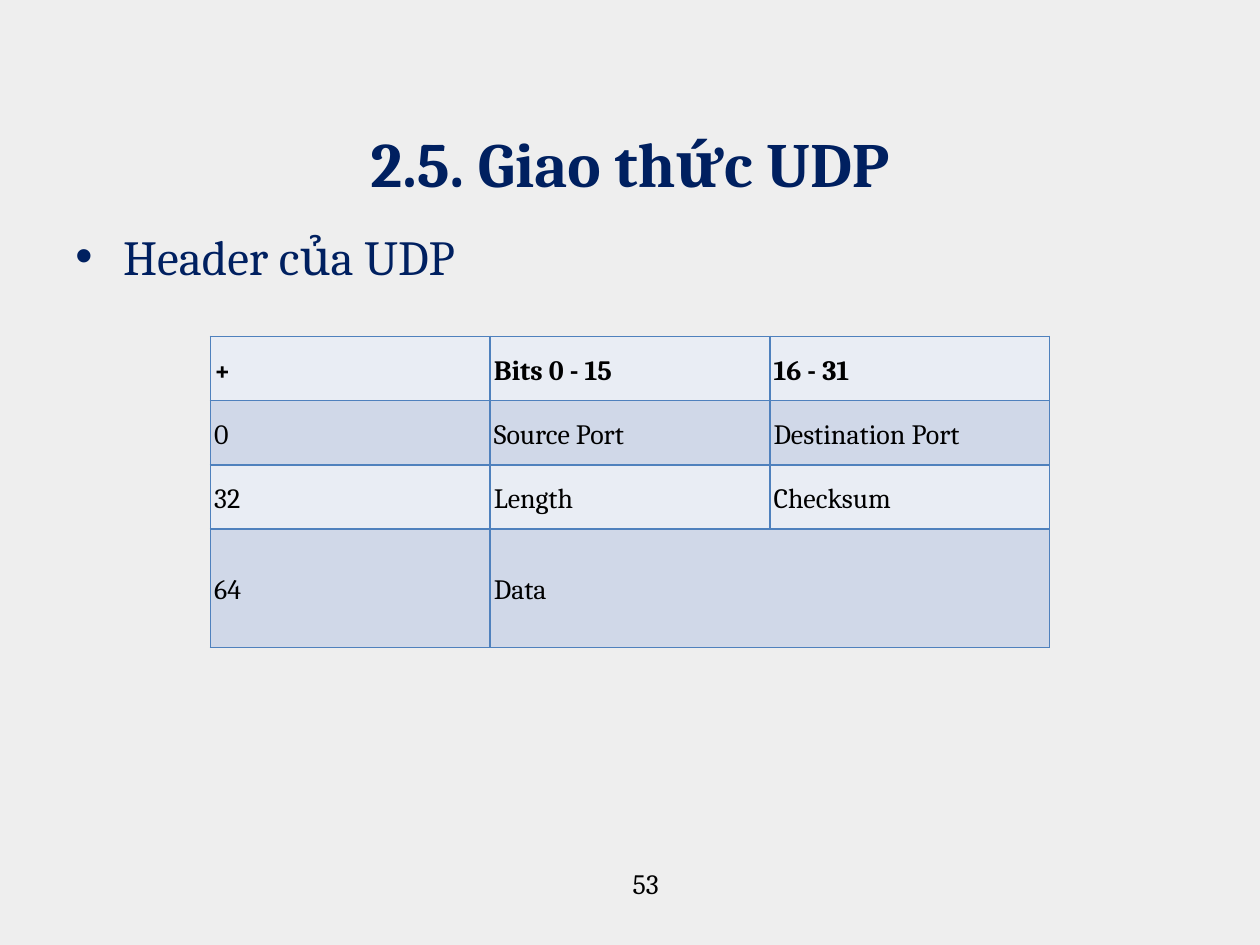
from lxml.etree import SubElement
from pptx import Presentation
from pptx.dml.color import RGBColor
from pptx.enum.text import MSO_ANCHOR as Anchor, PP_ALIGN as Align
from pptx.oxml.ns import qn
from pptx.util import Inches, Pt

FONT = "Cambria"
COLORS = {
    "background": "EEEEEE",
    "heading": "002060",
    "text": "000000",
    "border": "4F81BD",
    "light_row": "E9EDF4",
    "dark_row": "D0D8E8",
}
HEADER_ROWS = [
    ["+", "Bits 0 - 15", "16 - 31"],
    ["0", "Source Port", "Destination Port"],
    ["32", "Length", "Checksum"],
    ["64", "Data", ""],
]
ROW_HEIGHTS = [0.51, 0.51, 0.51, 0.94]
COLUMN_WIDTH = 2.22


def color(name):
    """Return the named colour."""
    return RGBColor.from_string(COLORS[name])


def add_run(paragraph, text, size, color_name, bold=False):
    """Add one formatted run to a paragraph."""
    run = paragraph.add_run()
    run.text = text
    run.font.name = FONT
    run.font.size = Pt(size)
    run.font.bold = bold
    run.font.color.rgb = color(color_name)


def set_title(slide, text):
    """Place and fill the title placeholder."""
    title = slide.shapes.title
    title.left, title.top = Inches(0.5), Inches(0.39)
    title.width, title.height = Inches(9), Inches(1.25)
    title.text_frame.vertical_anchor = Anchor.BOTTOM
    paragraph = title.text_frame.paragraphs[0]
    paragraph.alignment = Align.CENTER
    add_run(paragraph, text, 36, "heading", bold=True)


def add_text_box(slide, left, top, width, height):
    """Add a wrapping text box and return its first paragraph."""
    shape = slide.shapes.add_textbox(
        Inches(left), Inches(top), Inches(width), Inches(height))
    shape.text_frame.word_wrap = True
    return shape.text_frame.paragraphs[0]


def add_bullet(paragraph):
    """Give a paragraph a hanging round bullet."""
    properties = paragraph._p.get_or_add_pPr()
    properties.set("marL", str(Inches(0.38)))
    properties.set("indent", str(-Inches(0.38)))
    SubElement(properties, qn("a:buFont"), typeface="Arial")
    SubElement(properties, qn("a:buChar"), char="•")


def add_borders(cell):
    """Draw a thin line on all four sides of a cell."""
    properties = cell._tc.get_or_add_tcPr()
    for side in ("a:lnL", "a:lnR", "a:lnT", "a:lnB"):
        line = SubElement(properties, qn(side), w=str(Pt(1)))
        fill = SubElement(line, qn("a:solidFill"))
        SubElement(fill, qn("a:srgbClr"), val=COLORS["border"])


def format_cell(cell, text, fill_name, bold):
    """Set the borders, fill, margins and text of a cell."""
    add_borders(cell)
    cell.fill.solid()
    cell.fill.fore_color.rgb = color(fill_name)
    cell.margin_left = cell.margin_right = Inches(0.03)
    cell.margin_top = cell.margin_bottom = Inches(0.03)
    cell.vertical_anchor = Anchor.MIDDLE
    if text:
        paragraph = cell.text_frame.paragraphs[0]
        paragraph.alignment = Align.JUSTIFY
        paragraph.line_spacing = 1.15
        add_run(paragraph, text, 16, "text", bold)


def add_header_table(slide):
    """Add the table of UDP header fields."""
    column_count = len(HEADER_ROWS[0])
    table = slide.shapes.add_table(
        len(HEADER_ROWS), column_count, Inches(1.67), Inches(2.67),
        Inches(COLUMN_WIDTH * column_count), Inches(sum(ROW_HEIGHTS))).table
    for column in table.columns:
        column.width = Inches(COLUMN_WIDTH)
    for row_index, texts in enumerate(HEADER_ROWS):
        table.rows[row_index].height = Inches(ROW_HEIGHTS[row_index])
        fill_name = "dark_row" if row_index % 2 else "light_row"
        for column_index, text in enumerate(texts):
            format_cell(table.cell(row_index, column_index), text,
                        fill_name, bold=row_index == 0)
    table.cell(3, 1).merge(table.cell(3, 2))


def main():
    """Build and save the slide."""
    presentation = Presentation()
    presentation.slide_width = Inches(10)
    presentation.slide_height = Inches(7.5)
    slide = presentation.slides.add_slide(presentation.slide_layouts[5])
    slide.background.fill.solid()
    slide.background.fill.fore_color.rgb = color("background")

    set_title(slide, "2.5. Giao thức UDP")
    bullet = add_text_box(slide, 0.5, 1.75, 8.83, 0.6)
    add_bullet(bullet)
    add_run(bullet, "Header của UDP", 28, "heading")
    number = add_text_box(slide, 0.75, 6.83, 8.75, 0.52)
    number.alignment = Align.CENTER
    add_run(number, "53", 16, "text")
    add_header_table(slide)
    presentation.save("out.pptx")


if __name__ == "__main__":
    main()
